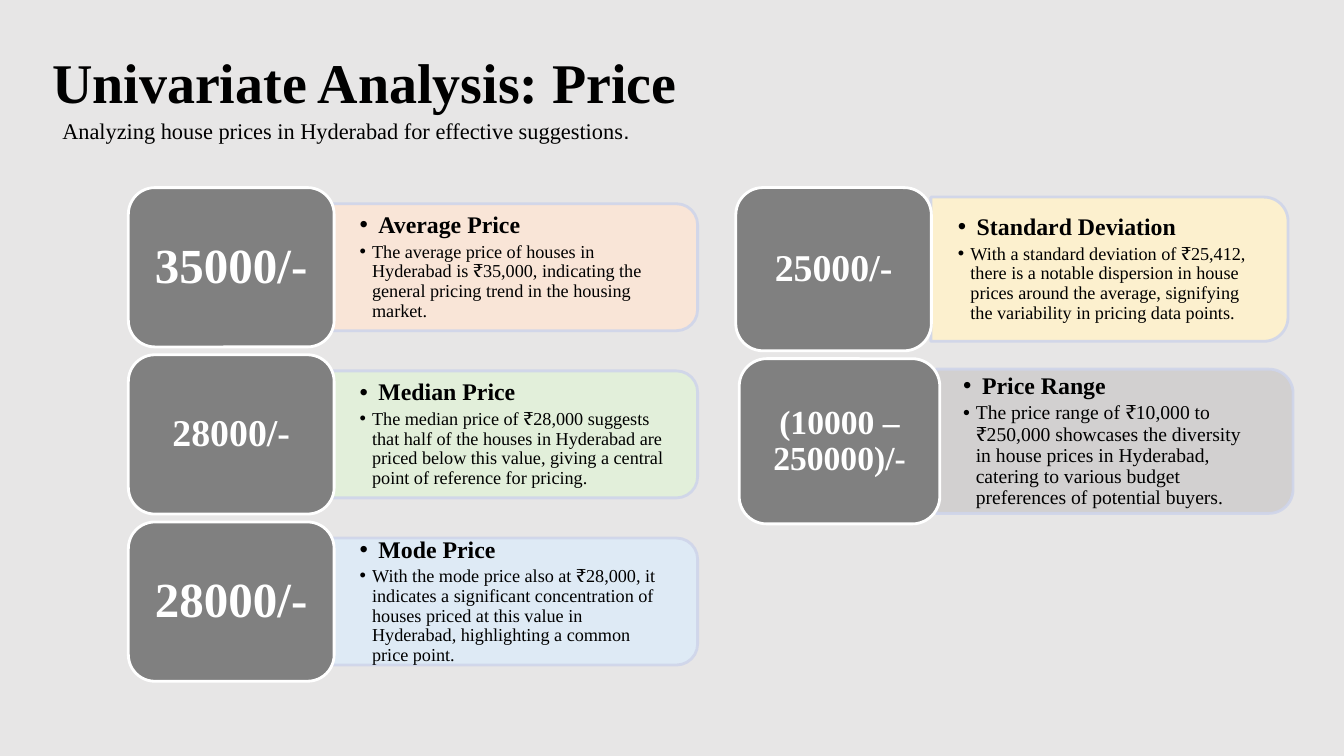
from collections import namedtuple
from lxml.etree import SubElement
from pptx import Presentation
from pptx.dml.color import RGBColor
from pptx.enum.shapes import MSO_SHAPE
from pptx.enum.text import MSO_ANCHOR, PP_ALIGN
from pptx.oxml.ns import qn
from pptx.util import Pt

COLORS = {
    "background": "E7E6E6", "text": "000000", "tile": "808080",
    "white": "FFFFFF", "panel_line": "CFD5EA", "peach": "FBE5D6",
    "green": "E2F0D9", "blue": "DEEBF7", "yellow": "FFF2CC", "gray": "D0CECE",
}
SERIF = "Times New Roman"

Box = namedtuple("Box", "left top width height")
Card = namedtuple("Card", "value value_size heading body body_size color")

AVERAGE = Card("35000/-", 35, "Average Price",
               "The average price of houses in Hyderabad is ₹35,000, indicating the "
               "general pricing trend in the housing market.", 13, "peach")
MEDIAN = Card("28000/-", 27, "Median Price",
              "The median price of ₹28,000 suggests that half of the houses in Hyderabad "
              "are priced below this value, giving a central point of reference for "
              "pricing.", 13, "green")
MODE = Card("28000/-", 35, "Mode Price",
            "With the mode price also at ₹28,000, it indicates a significant concentration "
            "of houses priced at this value in Hyderabad, highlighting a common price "
            "point.", 13, "blue")
DEVIATION = Card("25000/-", 27, "Standard Deviation",
                 "With a standard deviation of ₹25,412, there is a notable dispersion in "
                 "house prices around the average, signifying the variability in pricing "
                 "data points.", 13, "yellow")
PRICE_RANGE = Card("(10000 – 250000)/-", 24, "Price Range",
                   "The price range of ₹10,000 to ₹250,000 showcases the diversity in house "
                   "prices in Hyderabad, catering to various budget preferences of potential "
                   "buyers.", 14, "gray")


def rgb(name):
    return RGBColor.from_string(COLORS[name])


def points(box):
    return [Pt(length) for length in box]


def set_font(font, size, color="text", bold=False, name=SERIF):
    font.name, font.size, font.bold = name, Pt(size), bold
    font.color.rgb = rgb(color)


def set_margins(frame, across, down):
    frame.margin_left = frame.margin_right = Pt(across)
    frame.margin_top = frame.margin_bottom = Pt(down)


def add_text_frame(page, box, anchor, across=7.2, down=3.6):
    frame = page.shapes.add_textbox(*points(box)).text_frame
    frame.word_wrap = True
    frame.vertical_anchor = anchor
    set_margins(frame, across, down)
    return frame


def add_block(page, preset, box, fill, line):
    block = page.shapes.add_shape(preset, *points(box))
    block.shadow.inherit = False
    block.fill.solid()
    block.fill.fore_color.rgb = rgb(fill)
    block.line.color.rgb = rgb(line)
    block.line.width = Pt(2)
    return block


def add_bullet(para, indent):
    properties = para._p.get_or_add_pPr()
    properties.set("marL", str(Pt(indent)))
    properties.set("indent", str(-Pt(indent)))
    bullet_color = SubElement(properties, qn("a:buClr"))
    SubElement(bullet_color, qn("a:srgbClr"), val=COLORS["text"])
    SubElement(properties, qn("a:buFont"), typeface="Arial")
    SubElement(properties, qn("a:buChar"), char="•")


def add_header(page, box):
    title = add_text_frame(page, Box(box.left, box.top, box.width, 64), MSO_ANCHOR.MIDDLE)
    para = title.paragraphs[0]
    para.text = "Univariate Analysis: Price"
    para.line_spacing = 0.9
    set_font(para.font, 40, bold=True)

    subtitle = add_text_frame(page, Box(box.left + 7.2, box.top + 51, 572, 26.6), MSO_ANCHOR.TOP)
    para = subtitle.paragraphs[0]
    for text, name in [("Analyzing house prices in Hyderabad for effective suggestions", SERIF),
                       (".", "Arial")]:
        span = para.add_run()
        span.text = text
        set_font(span.font, 16, name=name)


def add_panel(page, box, card):
    middle_x, middle_y = box.left + box.width / 2, box.top + box.height / 2
    upright = Box(middle_x - box.height / 2, middle_y - box.width / 2, box.height, box.width)
    panel = add_block(page, MSO_SHAPE.ROUND_2_SAME_RECTANGLE, upright, card.color, "panel_line")
    panel.rotation = 90
    for color in panel._element.spPr.iter(qn("a:srgbClr")):
        SubElement(color, qn("a:alpha"), val="90000")

    inner = Box(box.left, box.top + 4.5, box.width - 4.4, box.height - 9)
    frame = add_text_frame(page, inner, MSO_ANCHOR.MIDDLE, 19.3, 9.8)
    rows = [(card.heading, 17, True, 13.5), (card.body, card.body_size, False, 9)]
    for number, (text, size, bold, indent) in enumerate(rows):
        para = frame.add_paragraph() if number else frame.paragraphs[0]
        para.text = text
        para.line_spacing = 0.9
        para.space_after = Pt(size * 0.15)
        set_font(para.font, size, bold=bold)
        add_bullet(para, indent)


def add_tile(page, box, card):
    tile = add_block(page, MSO_SHAPE.ROUNDED_RECTANGLE, box, "tile", "white")
    frame = tile.text_frame
    frame.word_wrap = True
    frame.vertical_anchor = MSO_ANCHOR.MIDDLE
    set_margins(frame, 7.2, 4.3)
    para = frame.paragraphs[0]
    para.text = card.value
    para.alignment = PP_ALIGN.CENTER
    para.line_spacing = 0.9
    set_font(para.font, card.value_size, "white", bold=True)


def add_card(page, box, tile_width, panel_height, overlap, card):
    panel_left = box.left + tile_width - overlap
    panel = Box(panel_left, box.top + (box.height - panel_height) / 2,
                box.left + box.width - panel_left, panel_height)
    add_panel(page, panel, card)
    add_tile(page, Box(box.left, box.top, tile_width, box.height), card)


def add_left_column(page, box):
    pitch = 119.4
    height = box.height - 2 * pitch
    for row, card in enumerate([AVERAGE, MEDIAN, MODE]):
        row_box = Box(box.left, box.top + row * pitch, box.width, height)
        add_card(page, row_box, 147, 90.7, 1.2, card)


def add_right_column(page, box):
    add_card(page, Box(box.left, box.top, 394.4, 116.6), 139.7, 103, 0.4, DEVIATION)
    add_card(page, Box(box.left + 2.4, box.top + 122.2, 395.6, 118), 143.3, 103, 2.6, PRICE_RANGE)


def main():
    deck = Presentation()
    deck.slide_width, deck.slide_height = Pt(960), Pt(540)
    page = deck.slides.add_slide(deck.slide_layouts[6])
    page.background.fill.solid()
    page.background.fill.fore_color.rgb = rgb("background")
    add_header(page, Box(30.2, 28.8, 828, 78))
    add_left_column(page, Box(91.7, 134, 406.6, 352.6))
    add_right_column(page, Box(525.6, 134, 398, 240.2))
    deck.save("out.pptx")


if __name__ == "__main__":
    main()
